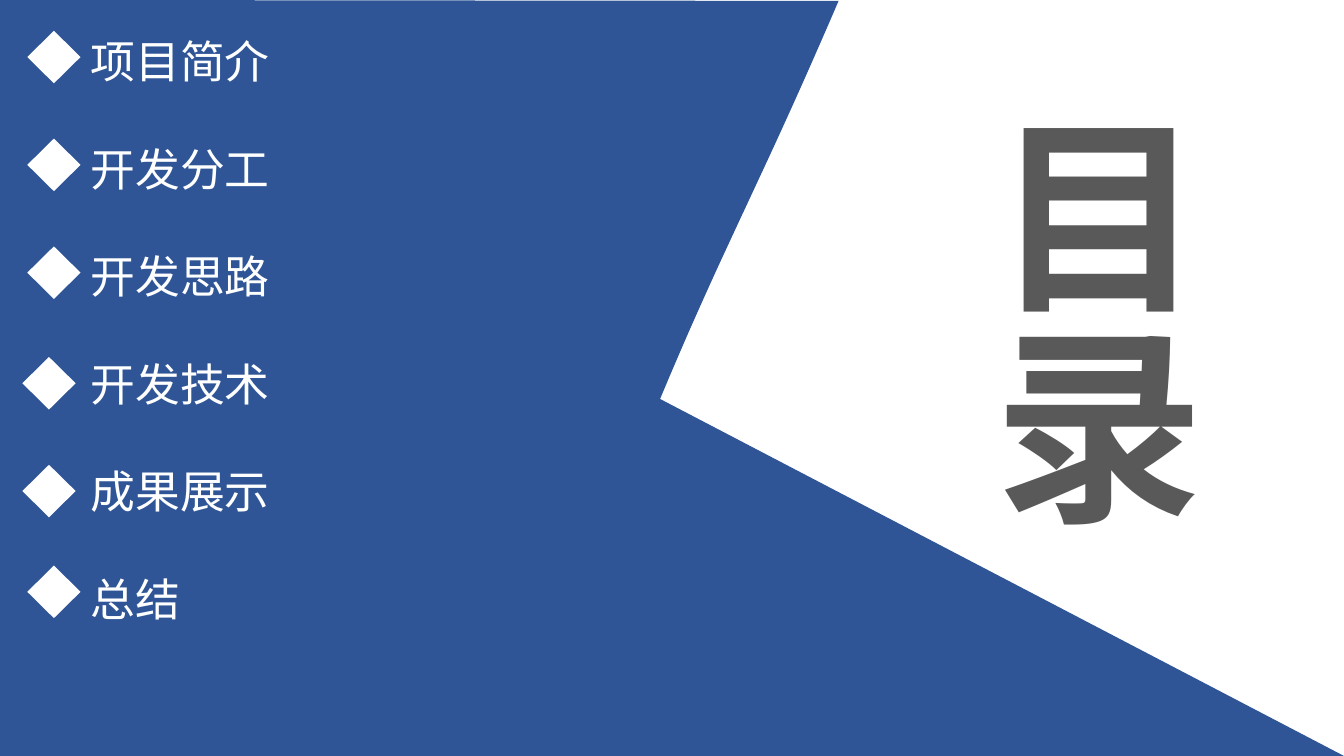
"""Build a contents slide with a blue panel, six items and a vertical title."""
import pptx
import pptx.util
import pptx.dml.color
import pptx.enum.shapes
import pptx.oxml.ns
import lxml.etree

Pt = pptx.util.Pt
WIDE, HIGH = 960, 540
FONT = "Noto Sans CJK SC"
BLUE, WHITE, GREY = "2F5597", "FFFFFF", "595959"

TITLE = "目录"
ITEMS = [
    ("项目简介", 19.5, 22),
    ("开发分工", 19.5, 99),
    ("开发思路", 19.5, 176),
    ("开发技术", 16, 255),
    ("成果展示", 16, 332),
    ("总结", 19.5, 404),
]
GEM = (38, 37.5)
PITCH, LINE = 76.8, 41.2
CURVE = [(599, 0.7), (541.5, 134.6), (519, 171.4), (471.5, 285)]
STEPS = 24


def color(text):
    return pptx.dml.color.RGBColor.from_string(text)


def paint(shape, fill):
    shape.shadow.inherit = False
    shape.fill.solid()
    shape.fill.fore_color.rgb = color(fill)
    shape.line.fill.background()


def bend(t):
    parts = [(1 - t) ** 3, 3 * t * (1 - t) ** 2, 3 * t * t * (1 - t), t ** 3]
    return tuple(Pt(sum(w * p[i] for w, p in zip(parts, CURVE))) for i in (0, 1))


def write(par, text, size, fill, bold=False):
    run = par.add_run()
    run.text = text
    run.font.size = Pt(size)
    run.font.bold = bold
    run.font.color.rgb = color(fill)
    run.font.name = FONT
    east = lxml.etree.SubElement(run.font._element, pptx.oxml.ns.qn("a:ea"))
    east.set("typeface", FONT)


def frame(left, top, width, height, wrap):
    box = slide.shapes.add_textbox(Pt(left), Pt(top), Pt(width), Pt(height))
    box.text_frame.word_wrap = wrap
    return box.text_frame


deck = pptx.Presentation()
deck.slide_width, deck.slide_height = Pt(WIDE), Pt(HIGH)
slide = deck.slides.add_slide(deck.slide_layouts[6])

title = frame(677, 72, 196.5, 310, False)
title._txBody.bodyPr.set("vert", "eaVert")
write(title.paragraphs[0], TITLE, 150, GREY, True)

pen = slide.shapes.build_freeform(0, Pt(HIGH), scale=1.0)
edge = [bend(n / STEPS) for n in range(STEPS + 1)]
pen.add_line_segments([(0, 0)] + edge + [(Pt(WIDE), Pt(HIGH))], close=True)
paint(pen.convert_to_shape(), BLUE)

menu = frame(57.5, 18, 187, 472, True)
for n, (text, left, top) in enumerate(ITEMS):
    par = menu.add_paragraph() if n else menu.paragraphs[0]
    par.line_spacing = Pt(LINE)
    par.space_after = Pt(PITCH - LINE)
    write(par, text, 32, WHITE)
    kind = pptx.enum.shapes.MSO_SHAPE.FLOWCHART_DECISION
    gem = slide.shapes.add_shape(kind, Pt(left), Pt(top), *map(Pt, GEM))
    paint(gem, WHITE)

deck.save("out.pptx")
